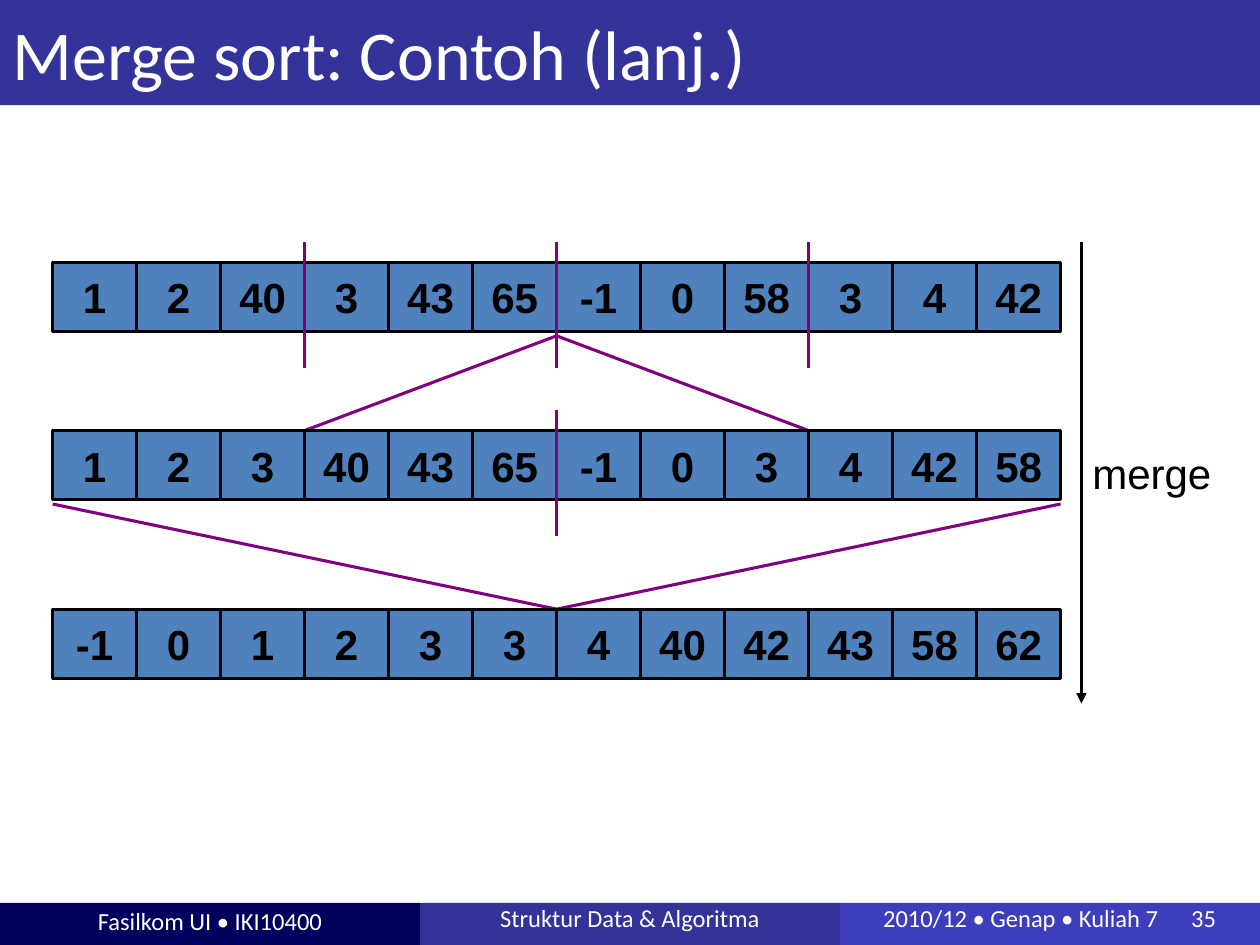
from lxml.etree import SubElement
from pptx import Presentation
from pptx.dml.color import RGBColor
from pptx.enum.shapes import MSO_CONNECTOR as Connector, MSO_SHAPE as Shape
from pptx.enum.text import MSO_ANCHOR as Anchor, MSO_AUTO_SIZE as AutoSize, PP_ALIGN as Align
from pptx.oxml.ns import qn
from pptx.util import Cm, Pt

COLORS = {
    "title": "333399", "footer_left": "00005C", "footer_middle": "333399",
    "footer_right": "3E3EBC", "cell": "4F81BD", "guide": "800080",
    "black": "000000", "white": "FFFFFF",
}


def write(shape, text, font="Arial", size=24, color="black", bold=False,
          align=Align.LEFT, anchor=Anchor.MIDDLE, wrap=False, spacing=None):
    frame = shape.text_frame
    frame.word_wrap = wrap
    frame.vertical_anchor = anchor
    para = frame.paragraphs[0]
    para.alignment = align
    if spacing:
        para.line_spacing = spacing
    span = para.add_run()
    span.text = text
    span.font.name = font
    span.font.size = Pt(size)
    span.font.bold = bold
    span.font.color.rgb = RGBColor.from_string(COLORS[color])
    return para


def draw_line(x1, y1, x2, y2, color="guide"):
    line = page.shapes.add_connector(Connector.STRAIGHT, Cm(x1), Cm(y1), Cm(x2), Cm(y2))
    line.line.color.rgb = RGBColor.from_string(COLORS[color])
    line.line.width = Pt(1.75)
    SubElement(line._element.spPr, qn("a:effectLst"))
    return line


deck = Presentation()
deck.slide_width, deck.slide_height = Cm(25.4), Cm(19.05)
page = deck.slides.add_slide(deck.slide_layouts[5])

# Title bar
title = page.shapes.title
title.left, title.top, title.width, title.height = Cm(0), Cm(0), Cm(25.4), Cm(2.12)
title.fill.solid()
title.fill.fore_color.rgb = RGBColor.from_string(COLORS["title"])
write(title, "Merge sort: Contoh (lanj.)", font="Calibri", size=40, color="white", wrap=True)
title.text_frame.auto_size = AutoSize.NONE

# Footer bars
footers = [
    ("footer_left", "Fasilkom UI • IKI10400", Align.CENTER, None),
    ("footer_middle", "Struktur Data & Algoritma", Align.CENTER, 0.81),
    ("footer_right", "2010/12 • Genap • Kuliah 7\t35", Align.LEFT, 0.81),
]
footer_width = 25.4 / len(footers)
for index, (color, text, align, spacing) in enumerate(footers):
    bar = page.shapes.add_shape(Shape.RECTANGLE, Cm(index * footer_width), Cm(18.2),
                                Cm(footer_width), Cm(0.85))
    bar.shadow.inherit = False
    bar.fill.solid()
    bar.fill.fore_color.rgb = RGBColor.from_string(COLORS[color])
    bar.line.fill.background()
    para = write(bar, text, font="Calibri", size=14, color="white", align=align,
                 wrap=True, spacing=spacing)
    bar.text_frame.margin_top, bar.text_frame.margin_bottom = Cm(0), Cm(0.13)

# Tab stop for the page number in the last bar
bar.text_frame.margin_left = Cm(0.87)
tabs = SubElement(para._p.get_or_add_pPr(), qn("a:tabLst"))
SubElement(tabs, qn("a:tab"), pos=str(Cm(6.21)), algn="l")

# Array grid
left, cell_width, cell_height = 1.06, 20.32 / 12, 1.4
rows = [
    (5.29, [1, 2, 40, 3, 43, 65, -1, 0, 58, 3, 4, 42], [3, 6, 9]),
    (8.68, [1, 2, 3, 40, 43, 65, -1, 0, 3, 4, 42, 58], [6]),
    (12.28, [-1, 0, 1, 2, 3, 3, 4, 40, 42, 43, 58, 62], []),
]
edges = [left + column * cell_width for column in range(13)]
middle = edges[6]

# Merge guides between the rows
for column in (3, 9):
    draw_line(middle, 6.77, edges[column], 8.68)
for column in (0, 12):
    draw_line(edges[column], 10.16, middle, 12.28)

# Cells and the lines that split each row into sorted runs
for top, values, splits in rows:
    for x, value in zip(edges, values):
        cell = page.shapes.add_shape(Shape.RECTANGLE, Cm(x), Cm(top),
                                     Cm(cell_width), Cm(cell_height))
        cell.shadow.inherit = False
        cell.fill.solid()
        cell.fill.fore_color.rgb = RGBColor.from_string(COLORS["cell"])
        cell.line.color.rgb = RGBColor.from_string(COLORS["black"])
        cell.line.width = Pt(1.75)
        write(cell, str(value), bold=True, align=Align.CENTER)
    for column in splits:
        draw_line(edges[column], top - 0.42, edges[column], top + 2.12)

# Merge direction
arrow = draw_line(21.8, 4.87, 21.8, 14.18, color="black")
SubElement(arrow.line._get_or_add_ln(), qn("a:tailEnd"), type="triangle")
label = page.shapes.add_textbox(Cm(21.77), Cm(8.89), Cm(2.92), Cm(1.27))
write(label, "merge", anchor=Anchor.TOP)
label.text_frame.auto_size = AutoSize.SHAPE_TO_FIT_TEXT

deck.save("out.pptx")
